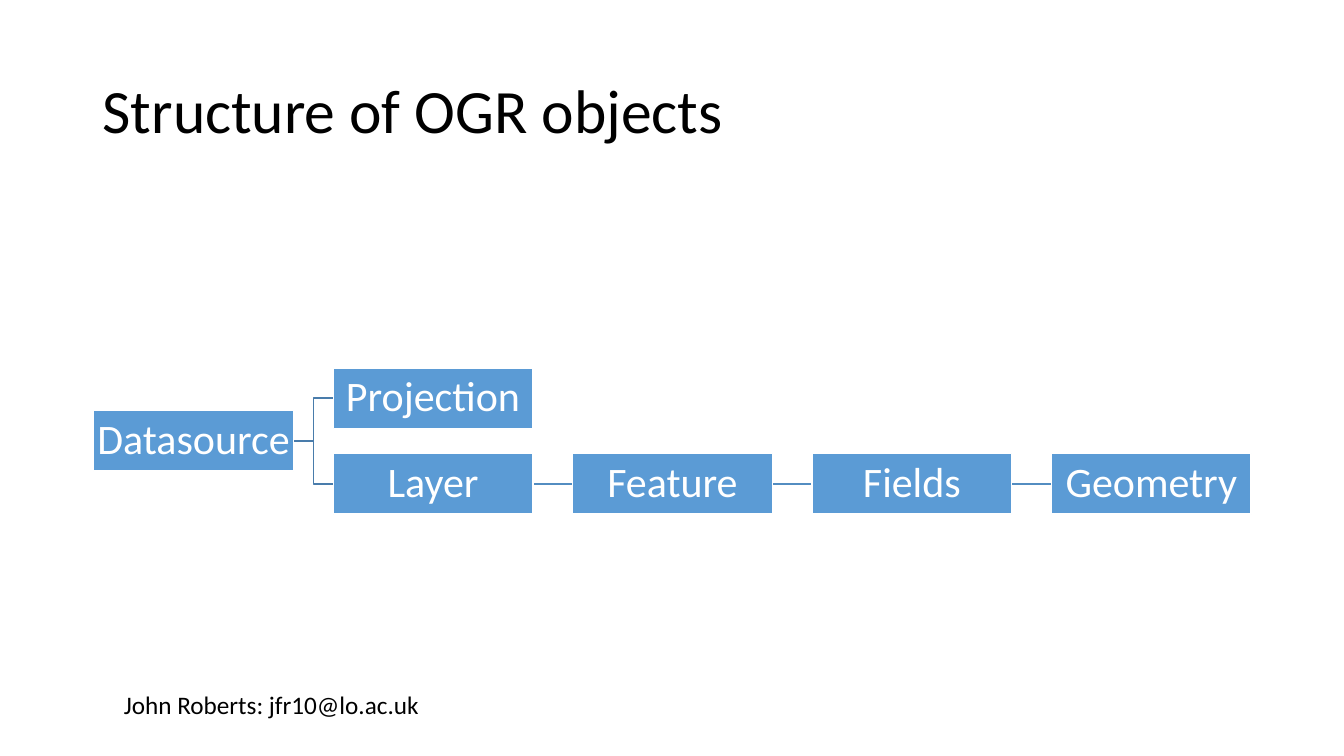
import pptx
import pptx.util
import pptx.dml.color
import pptx.enum.shapes
import pptx.enum.text
import pptx.oxml.ns
import lxml.etree

TITLE = "Structure of OGR objects"
FOOTER = "John Roberts: jfr10@lo.ac.uk"
NODES = {
    "Datasource": (0, 0.5),
    "Projection": (1, 0),
    "Layer": (1, 1),
    "Feature": (2, 1),
    "Fields": (3, 1),
    "Geometry": (4, 1),
}
LINKS = [
    ("Fields", "Geometry", "link"),
    ("Feature", "Fields", "link"),
    ("Layer", "Feature", "link"),
    ("Datasource", "Layer", "fork"),
    ("Datasource", "Projection", "fork"),
]
COLORS = {"text": "000000", "node": "5B9BD5", "white": "FFFFFF",
          "link": "538DC1", "fork": "497CAB"}
FONT = "Calibri"
LEFT, TOP = 0.93, 3.65
WIDTH, HEIGHT = 1.98, 0.6
STEP, DROP = 2.375, 0.85

Inches = pptx.util.Inches
Pt = pptx.util.Pt
Anchor = pptx.enum.text.MSO_ANCHOR
Kind = pptx.enum.shapes.MSO_CONNECTOR


def color(name):
    return pptx.dml.color.RGBColor.from_string(COLORS[name])


def write(shape, text, size, tone, anchor):
    frame = shape.text_frame
    frame.word_wrap = True
    frame.vertical_anchor = anchor
    para = frame.paragraphs[0]
    para.text = text
    para.font.name = FONT
    para.font.size = Pt(size)
    para.font.color.rgb = color(tone)
    return frame


def corner(name):
    col, row = NODES[name]
    return LEFT + col * STEP, TOP + row * DROP


def add_link(shapes, start, end, tone):
    x1, y1 = corner(start)
    x2, y2 = corner(end)
    kind = Kind.STRAIGHT if y1 == y2 else Kind.ELBOW
    mid = HEIGHT / 2
    line = shapes.add_connector(kind, Inches(x1 + WIDTH), Inches(y1 + mid),
                                Inches(x2), Inches(y2 + mid))
    line.line.color.rgb = color(tone)
    line.line.width = Pt(1)
    lxml.etree.SubElement(line._element.spPr, pptx.oxml.ns.qn("a:effectLst"))


def add_node(shapes, name):
    x, y = corner(name)
    box = shapes.add_shape(pptx.enum.shapes.MSO_SHAPE.RECTANGLE,
                           Inches(x), Inches(y), Inches(WIDTH), Inches(HEIGHT))
    box.shadow.inherit = False
    box.fill.solid()
    box.fill.fore_color.rgb = color("node")
    box.line.color.rgb = color("white")
    box.line.width = Pt(1)
    frame = write(box, name, 30, "white", Anchor.MIDDLE)
    frame.margin_left = frame.margin_right = Inches(0.02)
    frame.margin_top = frame.margin_bottom = Inches(0.02)
    para = frame.paragraphs[0]
    para.alignment = pptx.enum.text.PP_ALIGN.CENTER
    para.line_spacing = 0.9


def main():
    deck = pptx.Presentation()
    deck.slide_width, deck.slide_height = Inches(13.33), Inches(7.5)
    shapes = deck.slides.add_slide(deck.slide_layouts[6]).shapes

    title = shapes.add_textbox(Inches(0.92), Inches(0.4), Inches(11.5), Inches(1.45))
    frame = write(title, TITLE, 44, "text", Anchor.MIDDLE)
    frame.paragraphs[0].line_spacing = 0.9

    for start, end, tone in LINKS:
        add_link(shapes, start, end, tone)
    for name in NODES:
        add_node(shapes, name)

    footer = shapes.add_textbox(Inches(1.13), Inches(6.79), Inches(4.01), Inches(0.4))
    write(footer, FOOTER, 18, "text", Anchor.TOP)
    deck.save("out.pptx")


if __name__ == "__main__":
    main()
